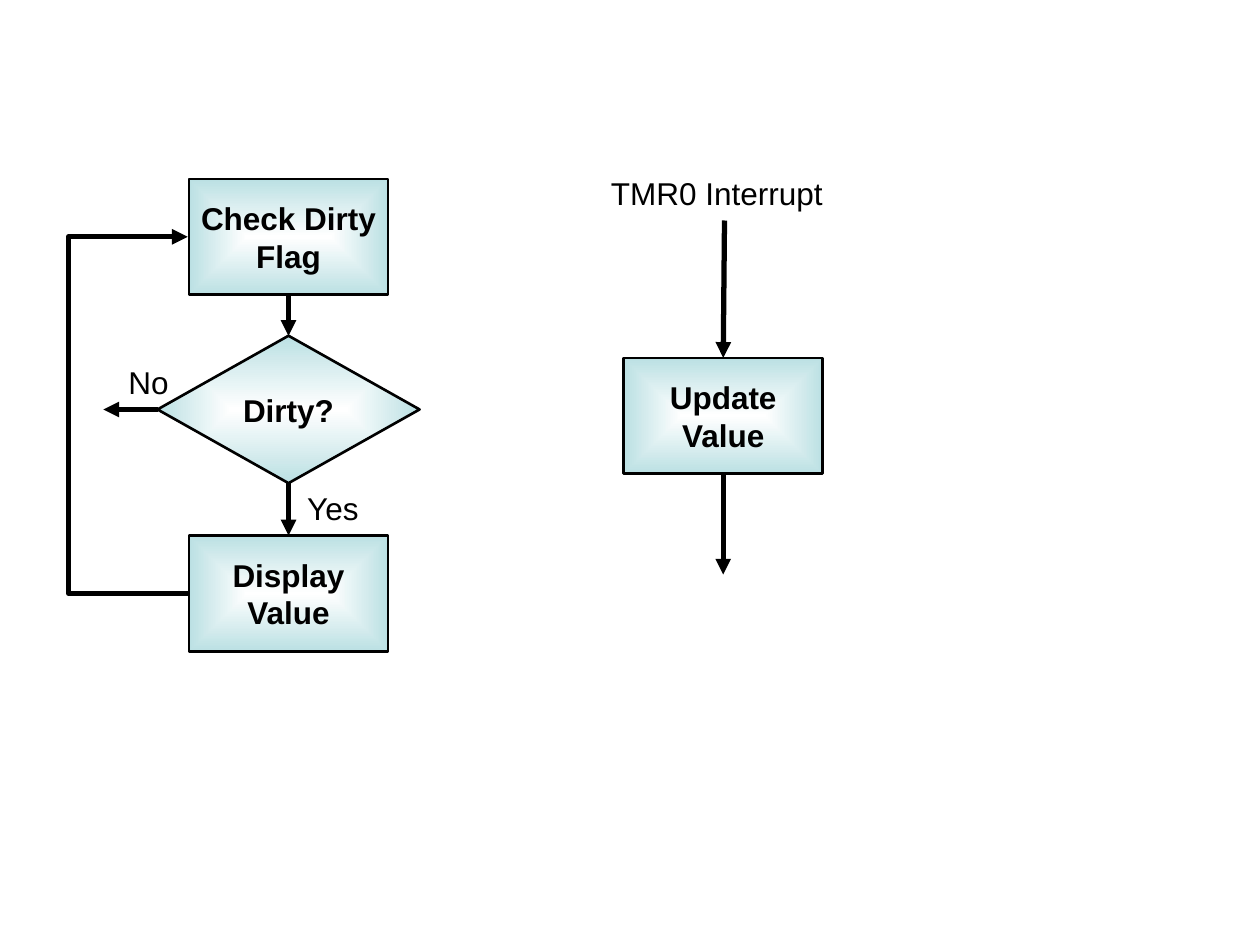
from dataclasses import dataclass

from lxml import etree
from pptx import Presentation
from pptx.dml.color import RGBColor
from pptx.enum.shapes import MSO_CONNECTOR, MSO_SHAPE
from pptx.enum.text import MSO_ANCHOR, MSO_AUTO_SIZE, PP_ALIGN
from pptx.oxml.ns import qn
from pptx.util import Inches, Pt

RECT, DIAMOND = MSO_SHAPE.RECTANGLE, MSO_SHAPE.DIAMOND
STRAIGHT, ELBOW = MSO_CONNECTOR.STRAIGHT, MSO_CONNECTOR.ELBOW
CENTER, LEFT = PP_ALIGN.CENTER, PP_ALIGN.LEFT
MIDDLE, TOP = MSO_ANCHOR.MIDDLE, MSO_ANCHOR.TOP


@dataclass(frozen=True)
class Theme:
    ink: RGBColor = RGBColor(0, 0, 0)
    glow: RGBColor = RGBColor(0xFF, 0xFF, 0xFF)
    edge: RGBColor = RGBColor(0xBB, 0xE0, 0xE3)
    font: str = "Arial"
    text_size: float = 18
    outline: float = 1.5
    arrow: float = 3


THEME = Theme()

# Flow grid: column centres, row centres and node sizes, in inches
MAIN_COL, ISR_COL = 2.29, 5.74
CHECK_ROW, DECISION_ROW, UPDATE_ROW, DISPLAY_ROW = 1.88, 3.25, 3.3, 4.71
STEP_W, STEP_H = 1.58, 0.92
DECISION_W, DECISION_H = 2.08, 1.17
LABEL_H = 0.4


def write_text(frame, text, bold=False, align=LEFT, anchor=TOP):
    frame.text = text
    frame.word_wrap = False
    frame.vertical_anchor = anchor
    for paragraph in frame.paragraphs:
        paragraph.alignment = align
        font = paragraph.runs[0].font
        font.name, font.size, font.bold = THEME.font, Pt(THEME.text_size), bold
        font.color.rgb = THEME.ink


def fill_from_centre(shape):
    """Rectangular gradient, light in the middle and tinted at the edge."""
    shape.fill.gradient()
    for stop, color in zip(shape.fill.gradient_stops, (THEME.glow, THEME.edge)):
        stop.color.rgb = color
    gradient = shape._element.spPr.find(qn("a:gradFill"))
    gradient.remove(gradient.find(qn("a:lin")))
    box = etree.SubElement(gradient, qn("a:path"), path="rect")
    etree.SubElement(box, qn("a:fillToRect"),
                     {side: "50000" for side in "ltrb"})


def add_node(slide, kind, col, row, width, height, text):
    node = slide.shapes.add_shape(
        kind, Inches(col - width / 2), Inches(row - height / 2),
        Inches(width), Inches(height))
    node.shadow.inherit = False
    fill_from_centre(node)
    node.line.color.rgb = THEME.ink
    node.line.width = Pt(THEME.outline)
    write_text(node.text_frame, text, bold=True, align=CENTER, anchor=MIDDLE)


def add_step(slide, col, row, text):
    add_node(slide, RECT, col, row, STEP_W, STEP_H, text)


def add_arrow(slide, start, end, kind=STRAIGHT):
    arrow = slide.shapes.add_connector(
        kind, *(Inches(value) for value in (*start, *end)))
    arrow.line.color.rgb = THEME.ink
    arrow.line.width = Pt(THEME.arrow)
    etree.SubElement(arrow.line._get_or_add_ln(), qn("a:tailEnd"),
                     type="triangle")
    etree.SubElement(arrow._element.spPr, qn("a:effectLst"))
    return arrow


def add_loop(slide, side, start_row, end_row, reach):
    """Elbow arrow that leaves to the left and returns to the same side."""
    step = 0.01  # the bend is given as a share of this width
    loop = add_arrow(slide, (side, start_row), (side - step, end_row), ELBOW)
    bends = loop._element.spPr.find(qn("a:prstGeom")).get_or_add_avLst()
    etree.SubElement(bends, qn("a:gd"), name="adj1",
                     fmla=f"val {round(reach / step * 100000)}")


def add_label(slide, left, top, width, text):
    label = slide.shapes.add_textbox(
        Inches(left), Inches(top), Inches(width), Inches(LABEL_H))
    write_text(label.text_frame, text)
    label.text_frame.auto_size = MSO_AUTO_SIZE.SHAPE_TO_FIT_TEXT


def main():
    prs = Presentation()
    prs.slide_width, prs.slide_height = Inches(10), Inches(7.5)
    slide = prs.slides.add_slide(prs.slide_layouts[6])
    half_step, half_decision = STEP_H / 2, DECISION_H / 2

    # Main loop
    add_step(slide, MAIN_COL, CHECK_ROW, "Check Dirty\nFlag")
    add_step(slide, MAIN_COL, DISPLAY_ROW, "Display\nValue")
    add_node(slide, DIAMOND, MAIN_COL, DECISION_ROW, DECISION_W, DECISION_H,
             "Dirty?")
    add_arrow(slide, (MAIN_COL, CHECK_ROW + half_step),
              (MAIN_COL, DECISION_ROW - half_decision))
    add_arrow(slide, (MAIN_COL, DECISION_ROW + half_decision),
              (MAIN_COL, DISPLAY_ROW - half_step))
    add_loop(slide, MAIN_COL - STEP_W / 2, DISPLAY_ROW, CHECK_ROW, reach=0.97)
    decision_left = MAIN_COL - DECISION_W / 2
    add_arrow(slide, (decision_left, DECISION_ROW),
              (decision_left - 0.43, DECISION_ROW))

    # Interrupt routine
    add_step(slide, ISR_COL, UPDATE_ROW, "Update\nValue")
    add_arrow(slide, (ISR_COL + 0.01, 1.75), (ISR_COL, UPDATE_ROW - half_step))
    add_arrow(slide, (ISR_COL, UPDATE_ROW + half_step), (ISR_COL, 4.56))

    # Branch and entry labels
    add_label(slide, 2.34, 3.83, 0.63, "Yes")
    add_label(slide, 0.92, 2.83, 0.52, "No")
    add_label(slide, 4.75, 1.33, 1.88, "TMR0 Interrupt")

    prs.save("out.pptx")


if __name__ == "__main__":
    main()
